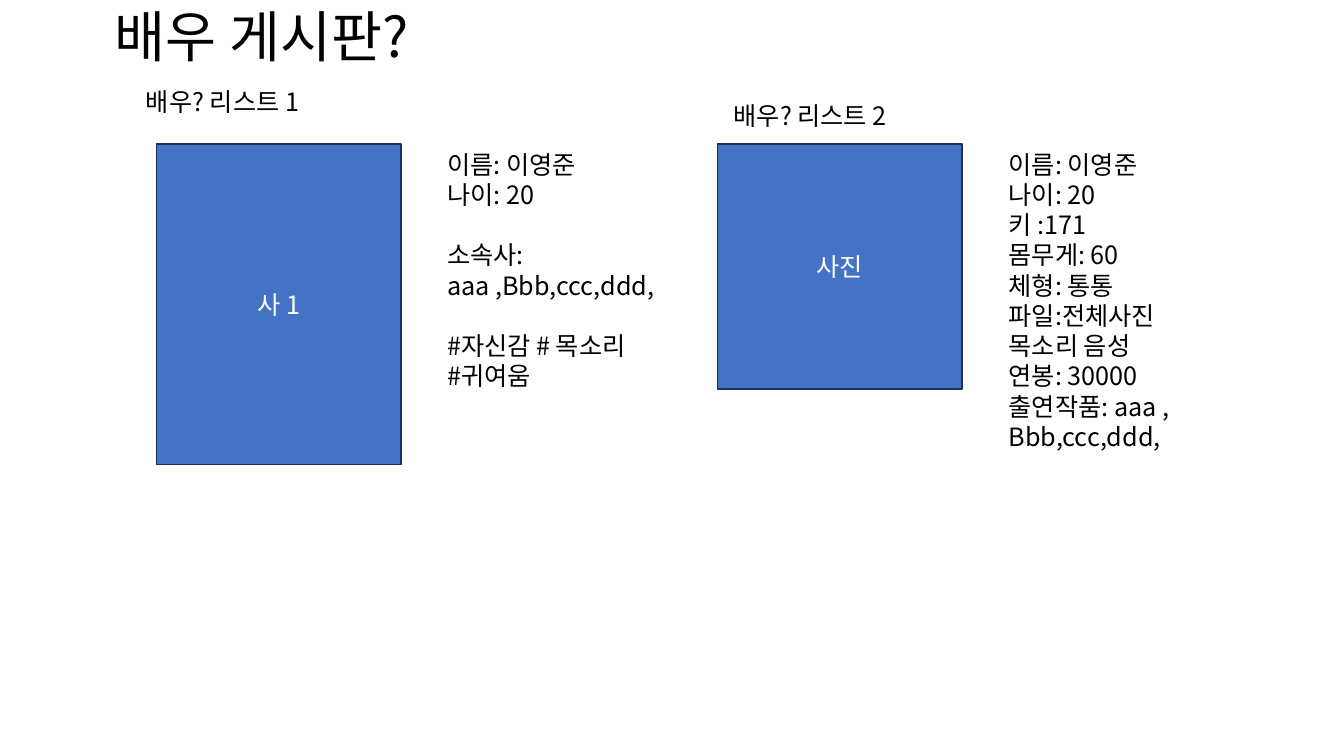
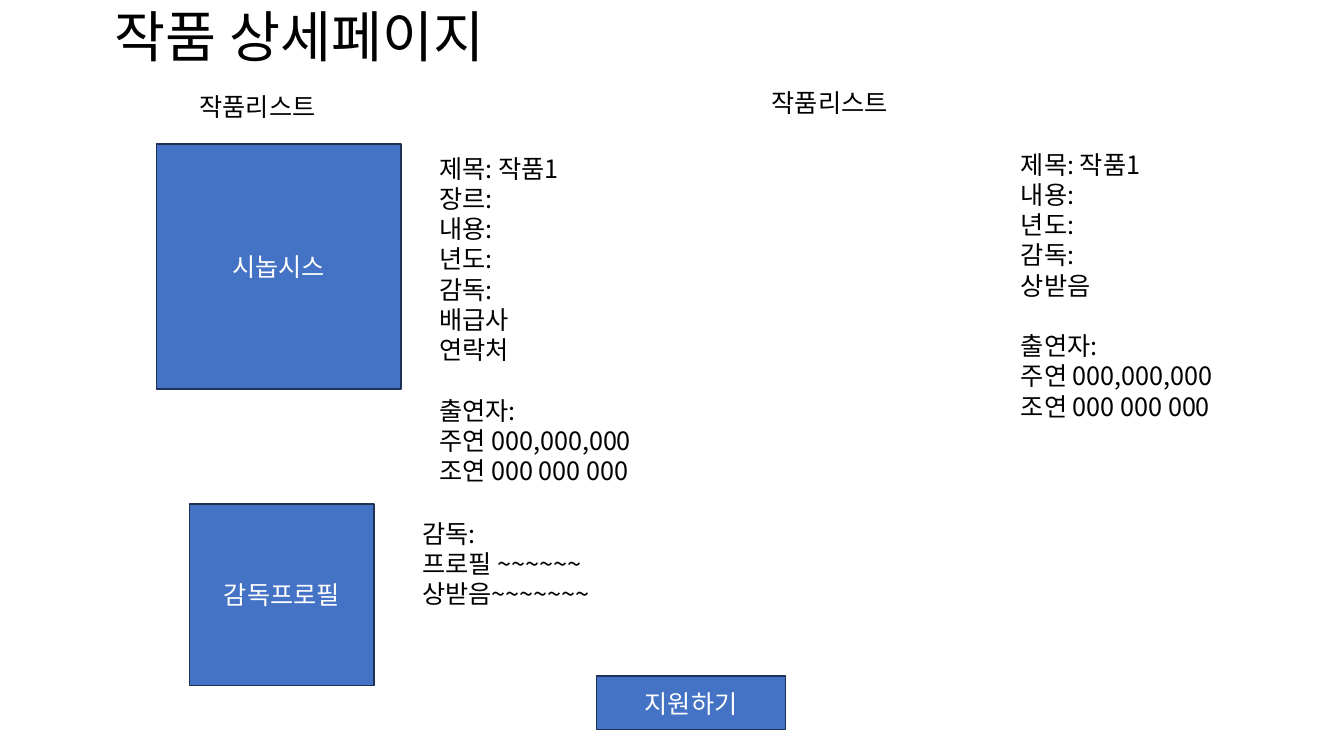
"""Build the actor board and the work detail page wireframes."""
from dataclasses import dataclass

from lxml.etree import SubElement
from pptx import Presentation
from pptx.dml.color import RGBColor
from pptx.enum.shapes import MSO_SHAPE
from pptx.enum.text import MSO_ANCHOR, MSO_AUTO_SIZE, PP_ALIGN
from pptx.oxml.ns import qn
from pptx.slide import Slide
from pptx.text.text import _Paragraph
from pptx.util import Cm, Pt

COLORS = {"fill": "4472C4", "line": "1E3256", "light": "FFFFFF", "dark": "000000"}
FONT = "Noto Sans CJK KR"
BODY_SIZE = 18
TITLE_SIZE = 39.6
LINE_PITCH = Pt(21.6)
PHOTO_LEFT, PHOTO_TOP, PHOTO_SIDE = 3.94, 3.63, 6.17
DETAIL_WIDTH = 6.68
HEADING_HEIGHT = 1.02
CAST = ("출연자:", "주연 000,000,000", "조연 000 000 000")


@dataclass(frozen=True)
class Area:
    """Position and size in centimetres."""

    left: float
    top: float
    width: float
    height: float

    def lengths(self) -> tuple[Cm, Cm, Cm, Cm]:
        """Return the four lengths in the order that shapes expect."""
        return Cm(self.left), Cm(self.top), Cm(self.width), Cm(self.height)


@dataclass(frozen=True)
class Box:
    """Filled rectangle with a centred label."""

    area: Area
    label: str


@dataclass(frozen=True)
class Note:
    """Plain text in groups of lines, one line pitch apart."""

    area: Area
    groups: tuple[tuple[str, ...], ...]


@dataclass(frozen=True)
class Page:
    """Title and contents of one slide."""

    title: str
    boxes: tuple[Box, ...]
    notes: tuple[Note, ...]


TITLE_AREA = Area(2.64, 0.33, 24.79, 1.35)

PAGES = (
    Page(
        "배우 게시판?",
        (
            Box(Area(PHOTO_LEFT, PHOTO_TOP, PHOTO_SIDE, 8.08), "사 1"),
            Box(Area(18.08, PHOTO_TOP, PHOTO_SIDE, PHOTO_SIDE), "사진"),
        ),
        (
            Note(Area(3.43, 2.06, 10.95, HEADING_HEIGHT), (("배우? 리스트 1",),)),
            Note(Area(18.24, 2.41, 10.95, HEADING_HEIGHT), (("배우? 리스트 2",),)),
            Note(
                Area(11.02, PHOTO_TOP, DETAIL_WIDTH, 8.71),
                (
                    ("이름: 이영준", "나이: 20"),
                    ("소속사: ", "aaa ,Bbb,ccc,ddd,"),
                    ("#자신감 # 목소리 ", "#귀여움"),
                ),
            ),
            Note(
                Area(25.17, PHOTO_TOP, DETAIL_WIDTH, 10.26),
                (
                    (
                        "이름: 이영준", "나이: 20", "키 :171", "몸무게: 60",
                        "체형: 통통", "파일:전체사진", "목소리 음성",
                        "연봉: 30000", "출연작품: aaa ,", "Bbb,ccc,ddd,",
                    ),
                ),
            ),
        ),
    ),
    Page(
        "작품 상세페이지",
        (
            Box(Area(PHOTO_LEFT, PHOTO_TOP, PHOTO_SIDE, PHOTO_SIDE), "시놉시스"),
            Box(Area(4.78, 12.7, 4.65, 4.57), "감독프로필"),
            Box(Area(15.04, 17.04, 4.75, 1.35), "지원하기"),
        ),
        (
            Note(Area(4.78, 2.18, 10.72, HEADING_HEIGHT), (("작품리스트",),)),
            Note(Area(19.2, 2.08, 10.72, HEADING_HEIGHT), (("작품리스트",),)),
            Note(
                Area(10.82, 3.73, DETAIL_WIDTH, 9.5),
                (
                    (
                        "제목: 작품1", "장르:", "내용:", "년도:",
                        "감독:", "배급사", "연락처",
                    ),
                    CAST,
                ),
            ),
            Note(
                Area(25.48, PHOTO_TOP, DETAIL_WIDTH, 7.95),
                (("제목: 작품1", "내용:", "년도:", "감독:", "상받음"), CAST),
            ),
            Note(
                Area(10.39, 12.93, 7.52, 4.11),
                (("감독:", "프로필 ~~~~~~", "상받음~~~~~~~"),),
            ),
        ),
    ),
)


def color(name: str) -> RGBColor:
    """Return a named colour."""
    return RGBColor.from_string(COLORS[name])


def format_runs(paragraph: _Paragraph, size: float, color_name: str) -> None:
    """Give every run the shared font for Latin and Korean text."""
    for run in paragraph.runs:
        run.font.size = Pt(size)
        run.font.name = FONT
        run.font.color.rgb = color(color_name)
        SubElement(run.font._element, qn("a:ea"), typeface=FONT)


def draw_title(slide: Slide, text: str) -> None:
    """Place and format the title placeholder."""
    title = slide.shapes.title
    title.left, title.top, title.width, title.height = TITLE_AREA.lengths()
    frame = title.text_frame
    frame.text = text
    frame.auto_size = MSO_AUTO_SIZE.NONE
    frame.vertical_anchor = MSO_ANCHOR.MIDDLE
    paragraph = frame.paragraphs[0]
    paragraph.alignment = PP_ALIGN.LEFT
    paragraph.line_spacing = 0.9
    format_runs(paragraph, TITLE_SIZE, "dark")


def draw_box(slide: Slide, box: Box) -> None:
    """Draw a filled rectangle with its label."""
    shape = slide.shapes.add_shape(MSO_SHAPE.RECTANGLE, *box.area.lengths())
    shape.shadow.inherit = False
    shape.fill.solid()
    shape.fill.fore_color.rgb = color("fill")
    shape.line.color.rgb = color("line")
    shape.line.width = Pt(1)
    frame = shape.text_frame
    frame.text = box.label
    frame.vertical_anchor = MSO_ANCHOR.MIDDLE
    paragraph = frame.paragraphs[0]
    paragraph.alignment = PP_ALIGN.CENTER
    paragraph.line_spacing = LINE_PITCH
    format_runs(paragraph, BODY_SIZE, "light")


def draw_note(slide: Slide, note: Note) -> None:
    """Draw groups of text lines with a gap before each later group."""
    frame = slide.shapes.add_textbox(*note.area.lengths()).text_frame
    frame.word_wrap = True
    frame.auto_size = MSO_AUTO_SIZE.SHAPE_TO_FIT_TEXT
    frame.text = "\n".join(line for group in note.groups for line in group)
    for paragraph in frame.paragraphs:
        paragraph.line_spacing = LINE_PITCH
        format_runs(paragraph, BODY_SIZE, "dark")
    start = 0
    for group in note.groups[:-1]:
        start += len(group)
        frame.paragraphs[start].space_before = LINE_PITCH


def build() -> None:
    """Build and save the presentation."""
    presentation = Presentation()
    presentation.slide_width = Cm(33.87)
    presentation.slide_height = Cm(19.05)
    title_only = presentation.slide_layouts[5]
    for page in PAGES:
        slide = presentation.slides.add_slide(title_only)
        draw_title(slide, page.title)
        for box in page.boxes:
            draw_box(slide, box)
        for note in page.notes:
            draw_note(slide, note)
    presentation.save("out.pptx")


build()
